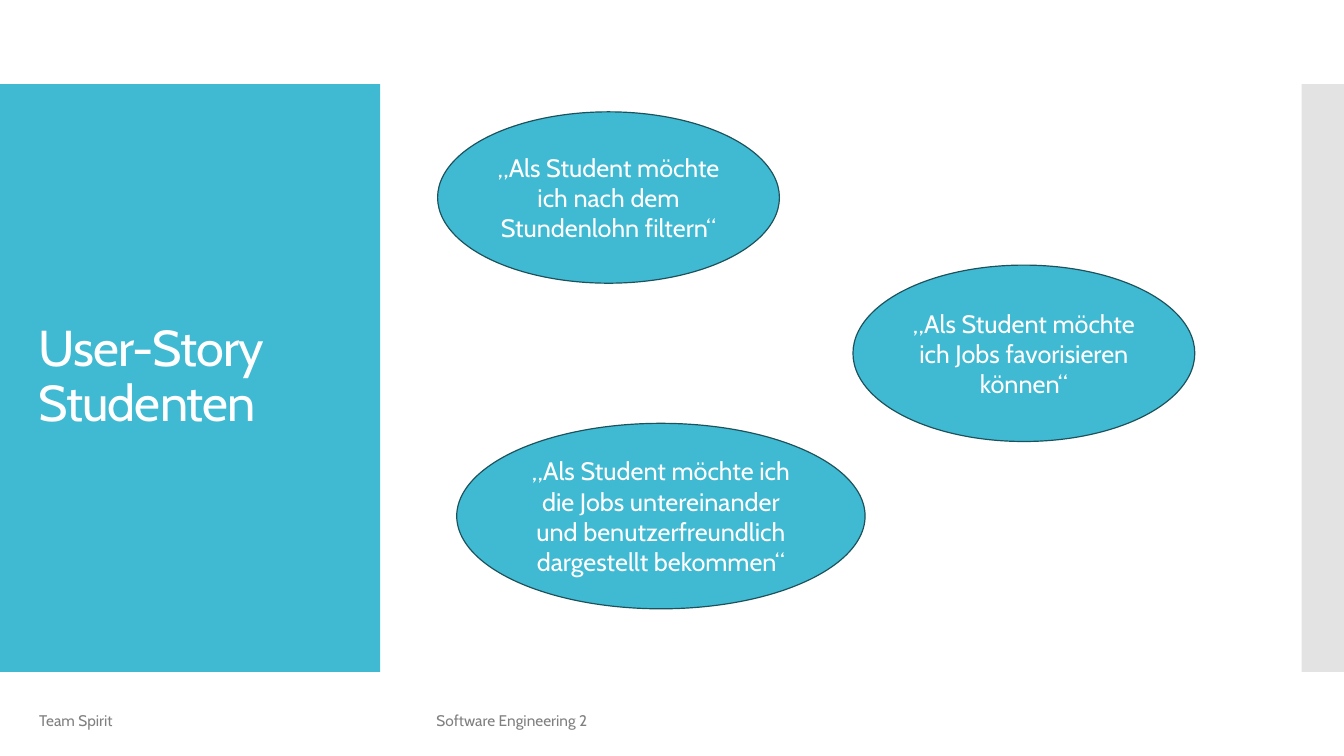
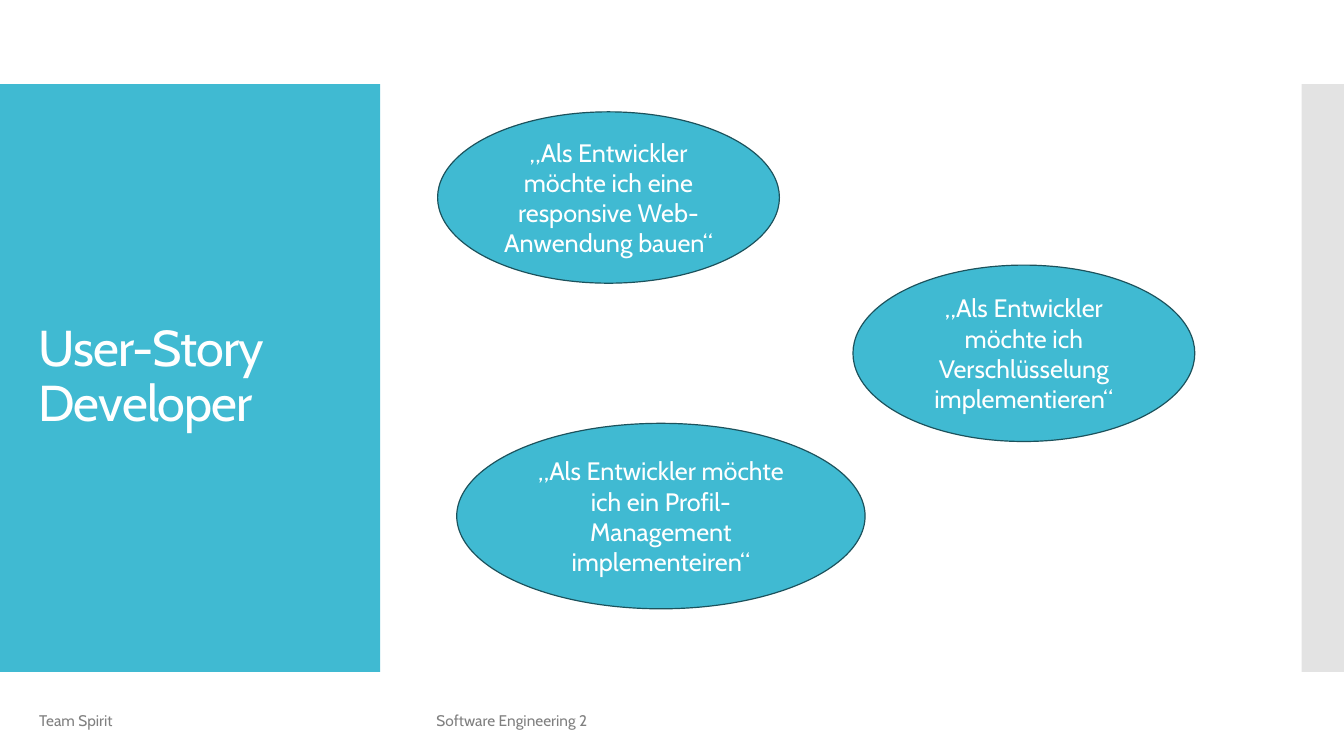
import pptx
import pptx.util
import pptx.dml.color
import pptx.enum.shapes
import pptx.enum.text
import lxml.etree

Inch = pptx.util.Inches
Pt = pptx.util.Pt
Kind = pptx.enum.shapes.MSO_SHAPE
Align = pptx.enum.text.PP_ALIGN
Anchor = pptx.enum.text.MSO_ANCHOR

# Content
STORIES = [
    (("User-Story", "Studenten"), [
        "„Als Student möchte ich nach dem Stundenlohn filtern“",
        "„Als Student möchte ich Jobs favorisieren können“",
        "„Als Student möchte ich die Jobs untereinander und "
        "benutzerfreundlich dargestellt bekommen“",
    ]),
    (("User-Story", "Developer"), [
        "„Als Entwickler möchte ich eine responsive Web-Anwendung bauen“",
        "„Als Entwickler möchte ich Verschlüsselung implementieren“",
        "„Als Entwickler möchte ich ein Profil-Management implementeiren“",
    ]),
]

# Shared look: boxes are left, top, width, height in inches
WIDE, HIGH = 13.33, 7.5
FONT = "Cabin"
TEAL, EDGE, GREY, WHITE, MUTED = "40BAD2", "1C525C", "C8C8C8", "FFFFFF", "808080"
TOP, TALL, SIDE = HIGH / 9, HIGH * 7 / 9, 0.42
BANDS = [
    ((0, TOP, 3.77, TALL), TEAL, 100),
    ((WIDE - SIDE, TOP, SIDE, TALL), GREY, 50),
]
TITLE = (0.28, 1.23, 3.22, 5.03)
FOOTERS = [
    ((0.29, 6.95, 3, 0.4), "Team Spirit"),
    ((4.23, 6.95, 6.46, 0.4), "Software Engineering 2"),
]
BUBBLES = [
    (4.34, 1.11, 3.39, 1.7),
    (8.46, 2.63, 3.39, 1.75),
    (4.53, 4.2, 4.05, 1.84),
]


def color(code):
    return pptx.dml.color.RGBColor.from_string(code)


def place(box):
    return [Inch(n) for n in box]


def style(frame, size, code, align=Align.LEFT):
    frame.word_wrap = True
    frame.auto_size = pptx.enum.text.MSO_AUTO_SIZE.NONE
    frame.vertical_anchor = Anchor.MIDDLE
    para = frame.paragraphs[0]
    para.alignment = align
    for font in [para.font] + [run.font for run in para.runs]:
        font.name, font.size = FONT, Pt(size)
        font.color.rgb = color(code)
    return para


def add_form(slide, kind, box, fill):
    form = slide.shapes.add_shape(kind, *place(box))
    form.shadow.inherit = False
    form.fill.solid()
    form.fill.fore_color.rgb = color(fill)
    return form


def add_bands(slide):
    # Bands move to the layout, so every slide shows them
    for box, fill, alpha in BANDS:
        band = add_form(slide, Kind.RECTANGLE, box, fill)
        band.line.fill.background()
        if alpha < 100:
            tone = next(band.element.iter(pptx.oxml.ns.qn("a:srgbClr")))
            lxml.etree.SubElement(tone, pptx.oxml.ns.qn("a:alpha"),
                                  val=str(alpha * 1000))
        slide.slide_layout.shapes.element.append(band.element)


def set_title(slide, lines):
    title = slide.shapes.title
    title.left, title.top, title.width, title.height = place(TITLE)
    para = title.text_frame.paragraphs[0]
    for i, line in enumerate(lines):
        if i:
            para.add_line_break()
        para.add_run().text = line
    style(title.text_frame, 36, WHITE)
    para.line_spacing = 0.9
    for run in para.runs:
        run._r.get_or_add_rPr().set("spc", "-60")


def add_footers(slide):
    for box, text in FOOTERS:
        frame = slide.shapes.add_textbox(*place(box)).text_frame
        frame.text = text
        style(frame, 11, MUTED)


def add_bubbles(slide, texts):
    for box, text in zip(BUBBLES, texts):
        bubble = add_form(slide, Kind.OVAL, box, TEAL)
        bubble.line.color.rgb = color(EDGE)
        bubble.line.width = Pt(0.85)
        bubble.text_frame.text = text
        style(bubble.text_frame, 18, WHITE, Align.CENTER)


def main():
    deck = pptx.Presentation()
    deck.slide_width, deck.slide_height = Inch(WIDE), Inch(HIGH)
    layout = deck.slide_layouts[5]
    for i, (lines, texts) in enumerate(STORIES):
        slide = deck.slides.add_slide(layout)
        if i == 0:
            add_bands(slide)
        set_title(slide, lines)
        add_footers(slide)
        add_bubbles(slide, texts)
    deck.save("out.pptx")


if __name__ == "__main__":
    main()
